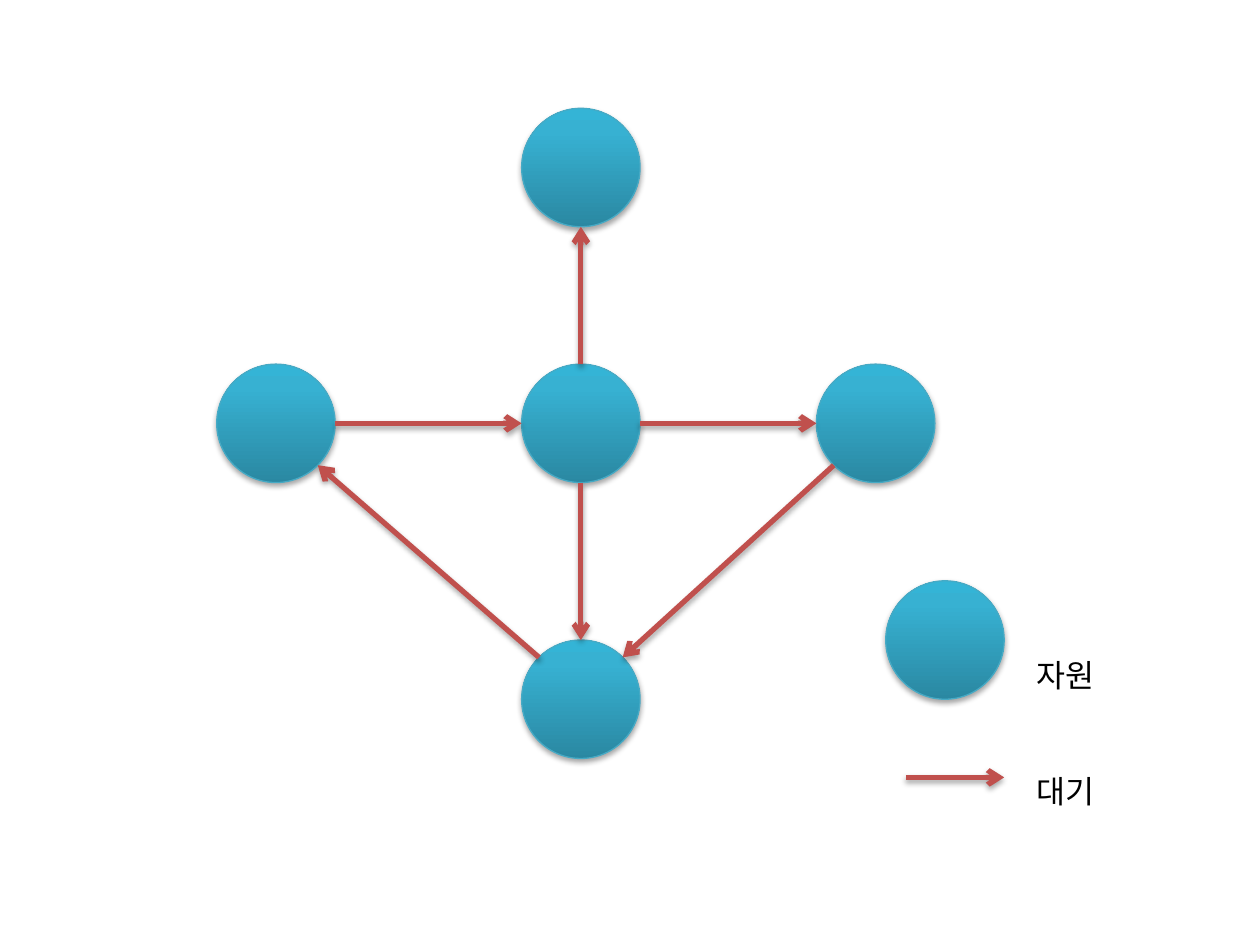
import math

from lxml import etree
from pptx import Presentation
from pptx import util as u
from pptx.dml import color
from pptx.enum import shapes, text
from pptx.oxml import ns

FONT = "Noto Sans CJK KR"
SIZE = 0.94
STOPS = ((0, "2A88A2"), (80, "37B1D2"), (100, "34B4D6"))


def paint(code):
    return color.RGBColor.from_string(code)


def assign(item, values):
    for name, value in values.items():
        setattr(item, name, value)


def add(parent, tag, **values):
    return etree.SubElement(parent, ns.qn(tag), **values)


def tint(parent, code):
    return add(parent, "a:srgbClr", val=code)


def shade(props):
    glow = add(add(props, "a:effectLst"), "a:outerShdw", blurRad="40000",
               dist="23000", dir="5400000", rotWithShape="0")
    add(tint(glow, "000000"), "a:alpha", val="35000")


def stroke(line, code, width):
    line.color.rgb = paint(code)
    line.width = u.Pt(width)


def node(slide, left, top):
    disc = slide.shapes.add_shape(shapes.MSO_SHAPE.OVAL, *map(u.Inches, (left, top, SIZE, SIZE)))
    props = disc._element.spPr
    blend = add(props, "a:gradFill", rotWithShape="1")
    stops = add(blend, "a:gsLst")
    for place, code in STOPS:
        tint(add(stops, "a:gs", pos=str(place * 1000)), code)
    add(blend, "a:lin", ang="16200000", scaled="0")
    stroke(disc.line, "46AAC5", 0.75)
    shade(props)


def arrow(slide, start, end):
    link = slide.shapes.add_connector(
        shapes.MSO_CONNECTOR.STRAIGHT, *map(u.Inches, (*start, *end)))
    stroke(link.line, "C0504D", 3)
    add(link.line._get_or_add_ln(), "a:tailEnd", type="arrow")
    shade(link._element.spPr)


def label(slide, words, left, top):
    box = slide.shapes.add_textbox(*map(u.Inches, (left, top, 1.48, 0.4)))
    assign(box.text_frame, {"word_wrap": True, "auto_size": text.MSO_AUTO_SIZE.SHAPE_TO_FIT_TEXT})
    run = box.text_frame.paragraphs[0].add_run()
    run.text = words
    assign(run.font, {"name": FONT, "size": u.Pt(18)})
    run.font.color.rgb = paint("000000")
    add(run._r.get_or_add_rPr(), "a:ea", typeface=FONT)


def rim(spot, angle):
    turn = math.radians(angle)
    return (spot[0] + SIZE / 2 * (1 + math.cos(turn)),
            spot[1] + SIZE / 2 * (1 + math.sin(turn)))


def graph(slide, left, top):
    spots = {
        "low": (left + 2.42, top + 4.22),
        "hub": (left + 2.42, top + 2.03),
        "high": (left + 2.42, top),
        "west": (left, top + 2.03),
        "east": (left + 4.76, top + 2.03),
    }
    for spot in spots.values():
        node(slide, *spot)
    waits = (
        ("west", 0, "hub", 180),
        ("hub", 0, "east", 180),
        ("east", 135, "low", 315),
        ("low", 225, "west", 45),
        ("hub", 270, "high", 90),
        ("hub", 90, "low", 270),
    )
    for source, leave, target, enter in waits:
        arrow(slide, rim(spots[source], leave), rim(spots[target], enter))


def legend(slide, left, top):
    node(slide, left, top)
    label(slide, "자원", left + 1.1, top + 0.55)
    arrow(slide, (left + 0.16, top + 1.56), (left + SIZE, top + 1.56))
    label(slide, "대기", left + 1.1, top + 1.47)


def main():
    deck = Presentation()
    assign(deck, {"slide_width": u.Inches(10), "slide_height": u.Inches(7.5)})
    slide = deck.slides.add_slide(deck.slide_layouts[6])
    graph(slide, 1.72, 0.86)
    legend(slide, 7.03, 4.61)
    deck.save("out.pptx")


if __name__ == "__main__":
    main()
